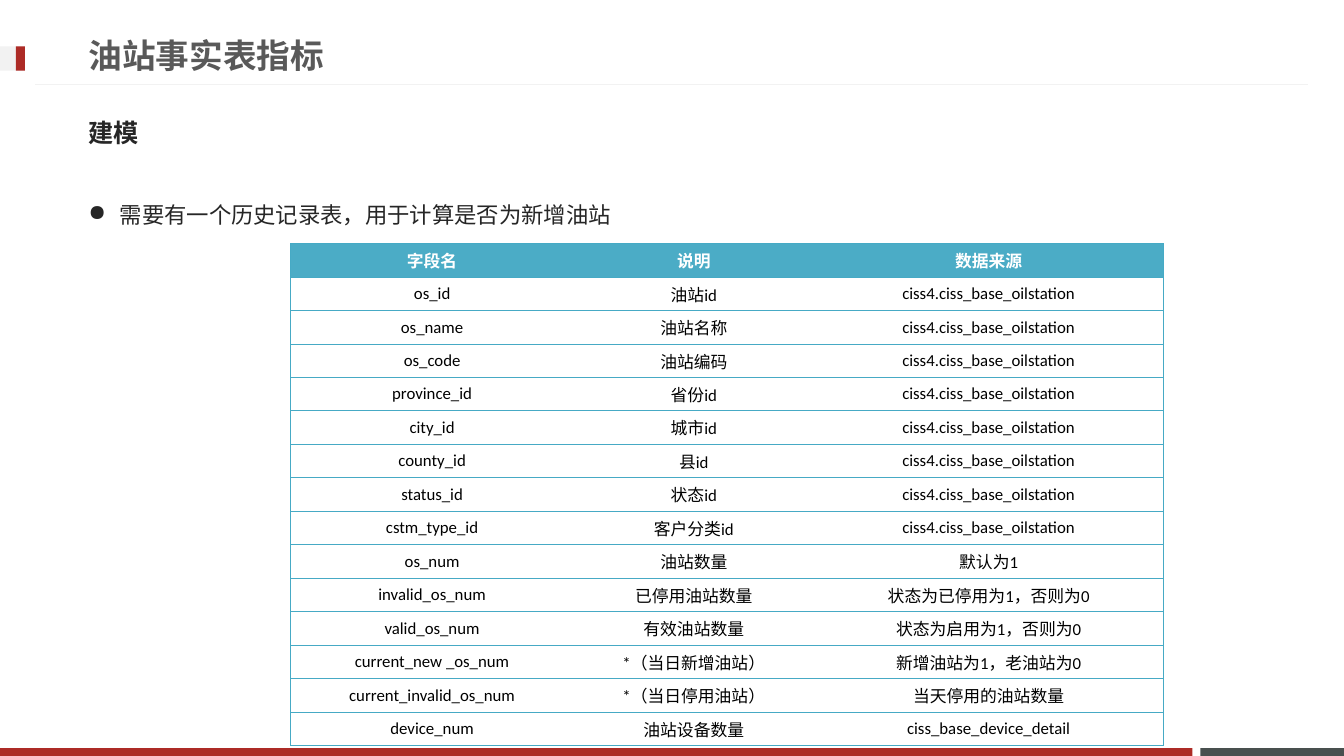
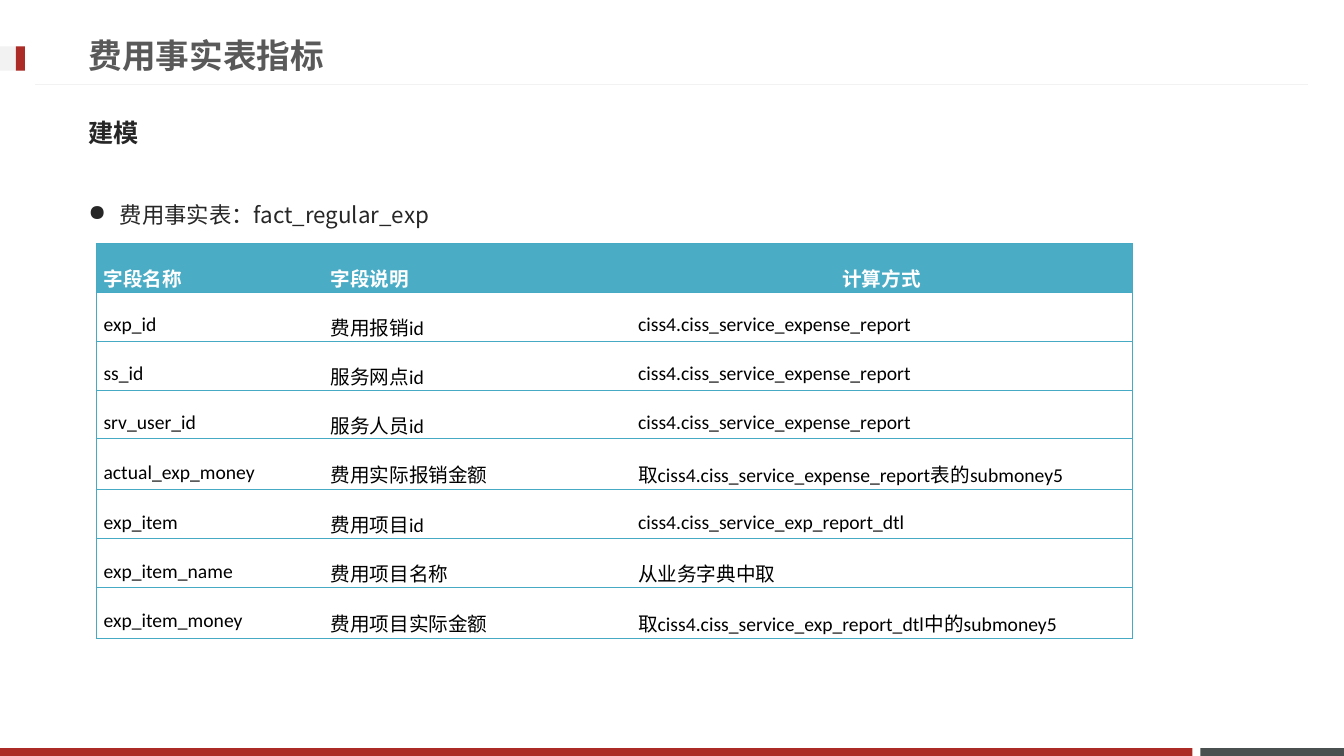
import lxml.etree
import pptx
import pptx.dml.color
import pptx.enum.shapes
import pptx.enum.text
import pptx.oxml.ns
import pptx.util

Cm = pptx.util.Cm
Pt = pptx.util.Pt
RGBColor = pptx.dml.color.RGBColor
Align = pptx.enum.text.PP_ALIGN
Anchor = pptx.enum.text.MSO_ANCHOR
qn = pptx.oxml.ns.qn

RED = RGBColor(0xAD, 0x2B, 0x26)
SLATE = RGBColor(0x49, 0x50, 0x4F)
PALE = RGBColor(0xF2, 0xF2, 0xF2)
GREY = RGBColor(0x59, 0x59, 0x59)
DARK = RGBColor(0x26, 0x26, 0x26)
BLACK = RGBColor(0x00, 0x00, 0x00)
WHITE = RGBColor(0xFF, 0xFF, 0xFF)
TEAL = RGBColor(0x4B, 0xAC, 0xC6)
EDGE = RGBColor(0x46, 0xAA, 0xC5)

HEAD_FONT = "Lato"
BODY_FONT = "Noto Sans CJK JP"
CELL_FONT = "Calibri"


def add(parent, tag, **attrs):
    """Append one XML element and return it."""
    return lxml.etree.SubElement(parent, qn(tag), attrs)


class Deck:
    """The shared style and the current slide."""

    def __init__(self):
        self.show = pptx.Presentation()
        self.show.slide_width = Cm(33.87)
        self.show.slide_height = Cm(19.05)
        self.slide = None

    def start(self, title):
        """Add a slide with the common frame and its title."""
        self.slide = self.show.slides.add_slide(self.show.slide_layouts[5])
        # Footer bands
        self.block(30.25, 18.85, 3.62, 0.2, SLATE)
        self.block(0, 18.85, 30.05, 0.2, RED)
        # Rule and marker beside the title
        self.rule(0.89, 32.97, 2.13)
        self.block(0, 1.17, 0.63, 0.61, PALE)
        self.block(0.4, 1.17, 0.23, 0.61, RED)
        # Title
        holder = self.slide.shapes.title
        holder.left, holder.top = Cm(1.98), Cm(0.66)
        holder.width, holder.height = Cm(24.36), Cm(1.45)
        frame = holder.text_frame
        frame.text = title
        frame.auto_size = pptx.enum.text.MSO_AUTO_SIZE.NONE
        frame.vertical_anchor = Anchor.MIDDLE
        self.style(frame.paragraphs[0], HEAD_FONT, 24, GREY, True)

    def style(self, para, font, size, color, bold=False, align=Align.LEFT):
        para.alignment = align
        for run in para.runs:
            run.font.name = font
            run.font.size = Pt(size)
            run.font.bold = bold
            run.font.color.rgb = color
            add(run.font._element, "a:ea", typeface=BODY_FONT)

    def block(self, left, top, width, height, color):
        shape = self.slide.shapes.add_shape(
            pptx.enum.shapes.MSO_SHAPE.RECTANGLE,
            Cm(left), Cm(top), Cm(width), Cm(height))
        shape.shadow.inherit = False
        shape.fill.solid()
        shape.fill.fore_color.rgb = color
        shape.line.fill.background()

    def rule(self, left, right, top):
        line = self.slide.shapes.add_connector(
            pptx.enum.shapes.MSO_CONNECTOR.STRAIGHT,
            Cm(left), Cm(top), Cm(right), Cm(top))
        line.line.color.rgb = PALE
        line.line.width = Pt(0.75)
        add(line._element.spPr, "a:effectLst")

    def text(self, words, top, height, size, bold=False):
        """Add a full-width line of body text and return its frame."""
        box = self.slide.shapes.add_textbox(
            Cm(1.98), Cm(top), Cm(29.72), Cm(height))
        frame = box.text_frame
        frame.word_wrap = True
        frame.text = words
        para = frame.paragraphs[0]
        para.space_before = Pt(size * 0.2)
        self.style(para, BODY_FONT, size, DARK, bold)
        return frame

    def topic(self, words):
        frame = self.text(words, 2.62, 1.45, 18, True)
        frame.vertical_anchor = Anchor.MIDDLE

    def bullet(self, words):
        para = self.text(words, 4.6, 1.4, 16).paragraphs[0]
        para.line_spacing = 1.5
        props = para._p.get_or_add_pPr()
        props.set("marL", str(Cm(0.79)))
        props.set("indent", str(-Cm(0.79)))
        add(props, "a:buChar", char="●")

    def edges(self, cell, first, last):
        """Rule a cell above and below, and at the table's outer sides."""
        props = cell._tc.get_or_add_tcPr()
        sides = (("L", first), ("R", last), ("T", True), ("B", True))
        for side, drawn in sides:
            line = add(props, "a:ln" + side, w=str(Pt(0.75)))
            if drawn:
                fill = add(line, "a:solidFill")
                add(fill, "a:srgbClr", val=str(EDGE))
            else:
                add(line, "a:noFill")

    def table(self, rows, left, widths, heights, size, aligns, space=1.0):
        """Add a table; the last heading is always centred."""
        grid = self.slide.shapes.add_table(
            len(rows), len(widths), Cm(left), Cm(6.14),
            Cm(sum(widths)), Cm(sum(heights))).table
        grid.horz_banding = False
        for col, width in zip(grid.columns, widths):
            col.width = Cm(width)
        end = len(widths) - 1
        for r, (words, height) in enumerate(zip(rows, heights)):
            grid.rows[r].height = Cm(height)
            head = r == 0
            for c, word in enumerate(words):
                cell = grid.cell(r, c)
                self.edges(cell, c == 0, c == end)
                cell.fill.solid()
                cell.fill.fore_color.rgb = TEAL if head else WHITE
                cell.margin_left = cell.margin_right = Cm(0.19)
                cell.margin_top = cell.margin_bottom = 0
                cell.vertical_anchor = Anchor.MIDDLE
                cell.text_frame.text = word
                para = cell.text_frame.paragraphs[0]
                para.line_spacing = space
                align = Align.CENTER if head and c == end else aligns
                self.style(para, CELL_FONT, size, WHITE if head else BLACK,
                           head, align)


STATION = "ciss4.ciss_base_oilstation"
REPORT = "ciss4.ciss_service_expense_report"
DETAIL = "ciss4.ciss_service_exp_report_dtl"

STATION_ROWS = [
    ("字段名", "说明", "数据来源"),
    ("os_id", "油站id", STATION),
    ("os_name", "油站名称", STATION),
    ("os_code", "油站编码", STATION),
    ("province_id", "省份id", STATION),
    ("city_id", "城市id", STATION),
    ("county_id", "县id", STATION),
    ("status_id", "状态id", STATION),
    ("cstm_type_id", "客户分类id", STATION),
    ("os_num", "油站数量", "默认为1"),
    ("invalid_os_num", "已停用油站数量", "状态为已停用为1，否则为0"),
    ("valid_os_num", "有效油站数量", "状态为启用为1，否则为0"),
    ("current_new _os_num", "*（当日新增油站）", "新增油站为1，老油站为0"),
    ("current_invalid_os_num", "*（当日停用油站）", "当天停用的油站数量"),
    ("device_num", "油站设备数量", "ciss_base_device_detail"),
]

EXPENSE_ROWS = [
    ("字段名称", "字段说明", "计算方式"),
    ("exp_id", "费用报销id", REPORT),
    ("ss_id", "服务网点id", REPORT),
    ("srv_user_id", "服务人员id", REPORT),
    ("actual_exp_money", "费用实际报销金额", f"取{REPORT}表的submoney5"),
    ("exp_item", "费用项目id", DETAIL),
    ("exp_item_name", "费用项目名称", "从业务字典中取"),
    ("exp_item_money", "费用项目实际金额", f"取{DETAIL}中的submoney5"),
]


def main():
    deck = Deck()

    # Station fact table
    deck.start("油站事实表指标")
    deck.topic("建模")
    deck.bullet("需要有一个历史记录表，用于计算是否为新增油站")
    count = len(STATION_ROWS)
    deck.table(STATION_ROWS, 7.32, (7.14, 6.05, 8.81),
               [12.65 / count] * count, 12, Align.CENTER)

    # Expense fact table, with taller rows for the money fields
    deck.start("费用事实表指标")
    deck.topic("建模")
    deck.bullet("费用事实表：fact_regular_exp")
    heights = [1.28 if row[0].endswith("money") else 1.23
               for row in EXPENSE_ROWS]
    deck.table(EXPENSE_ROWS, 2.42, (5.72, 7.75, 12.65), heights, 14,
               Align.LEFT, 1.7)

    deck.show.save("out.pptx")


if __name__ == "__main__":
    main()
